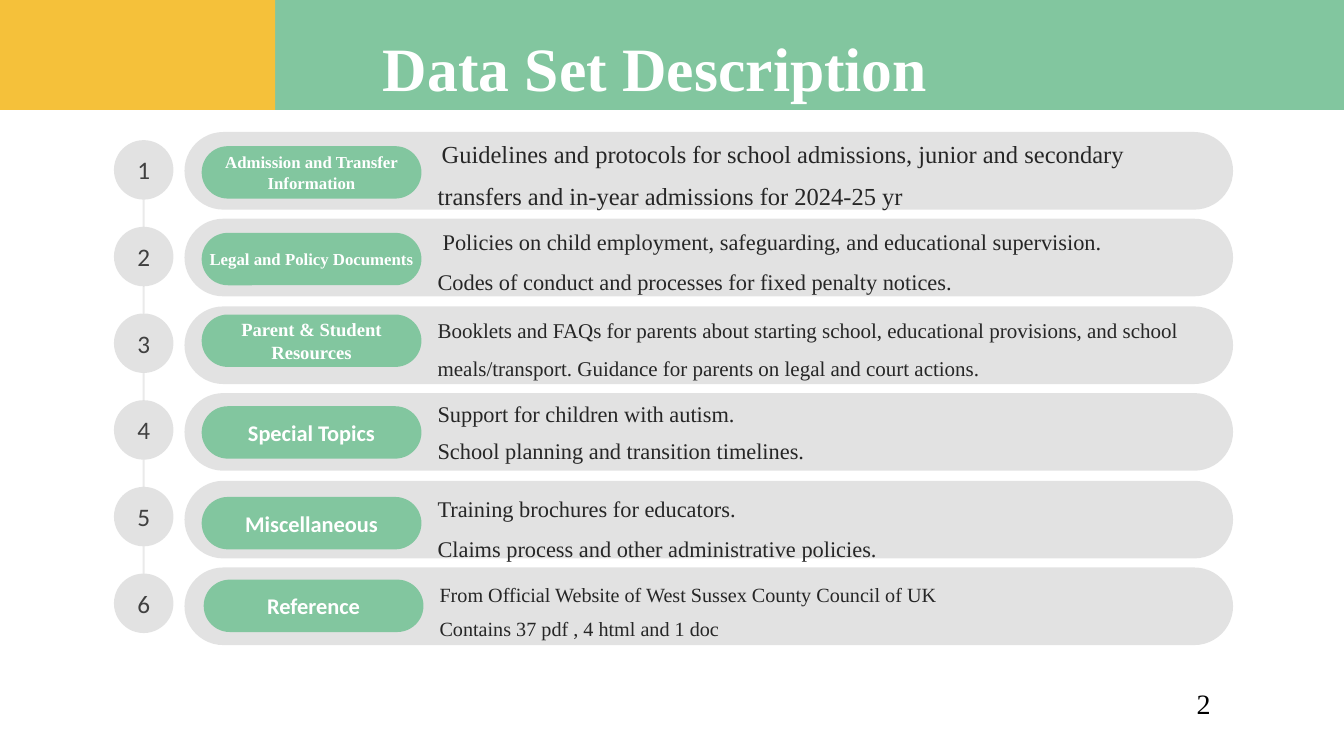
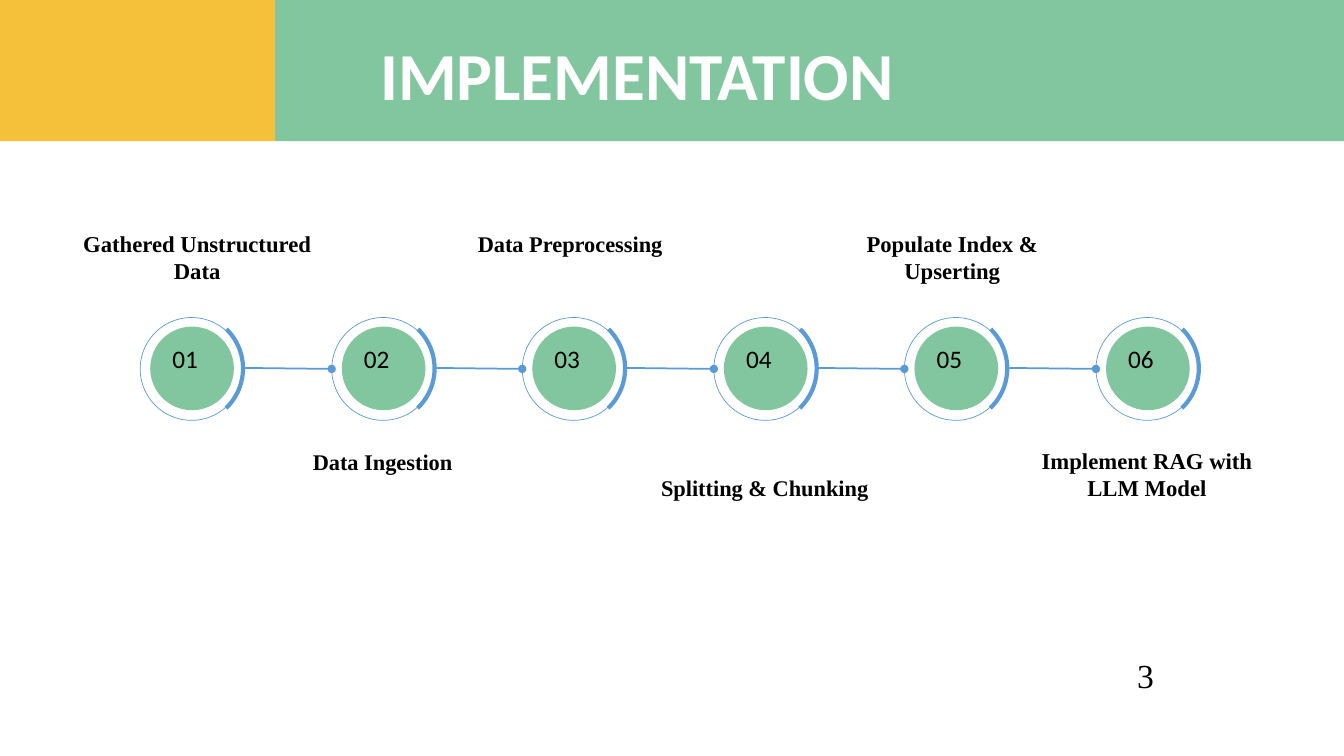
import pptx
import pptx.util
import pptx.dml.color
import pptx.enum.shapes
import pptx.enum.text
import pptx.oxml
import pptx.oxml.ns

RGBColor = pptx.dml.color.RGBColor
SHAPE = pptx.enum.shapes.MSO_SHAPE
ALIGN = pptx.enum.text.PP_ALIGN
ANCHOR = pptx.enum.text.MSO_ANCHOR

GREEN = RGBColor(0x82, 0xC6, 0x9F)
YELLOW = RGBColor(0xF5, 0xC1, 0x3A)
BLUE = RGBColor(0x5B, 0x9B, 0xD5)
DARK = RGBColor(0x40, 0x40, 0x40)
INK = RGBColor(0x26, 0x26, 0x26)
GRAY = RGBColor(0x99, 0x99, 0x99)
WHITE = RGBColor(0xFF, 0xFF, 0xFF)
BLACK = RGBColor(0x00, 0x00, 0x00)

SERIF, SANS = "Times New Roman", "Calibri"
PX = 9144  # EMU: 100 px to the inch
SLIDE_WIDTH, SLIDE_HEIGHT = 1333, 750
BAND_SPLIT = 273

DATA_SLIDE = {
    "band_height": 109,
    "title": ("Data Set Description", (370, 25, 560, 84), SERIF, 44),
    "number": ("2", (1177, 676, 59, 44), 20),
}
STEPS_SLIDE = {
    "band_height": 140,
    "title": ("IMPLEMENTATION", (352, 28, 560, 91), SANS, 48),
    "number": ("3", (1118, 645, 162, 50), 24),
}

# label, its font, size and top; description, its size, line spacing, indent and box
DATA_ROWS = [
    ("Admission and Transfer Information", SERIF, 12, 145,
     ["Guidelines and protocols for school admissions, junior and secondary "
      "transfers and in-year admissions for 2024-25 yr"],
     17.5, 1.4, 4, (434, 127, 757, 81)),
    ("Legal and Policy Documents", SERIF, 12, 231,
     ["Policies on child employment, safeguarding, and educational supervision.",
      "Codes of conduct and processes for fixed penalty notices."],
     16, 1.5, 5, (434, 213, 757, 79)),
    ("Parent & Student Resources", SERIF, 13.3, 312,
     ["Booklets and FAQs for parents about starting school, educational provisions, "
      "and school meals/transport. Guidance for parents on legal and court actions."],
     15, 1.5, 0, (434, 307, 742, 67)),
    ("Special Topics", SANS, 16, 403,
     ["Support for children with autism.", "School planning and transition timelines."],
     16, 1.4, 0, (434, 386, 757, 75)),
    ("Miscellaneous", SANS, 16, 493,
     ["Training brochures for educators.",
      "Claims process and other administrative policies."],
     16, 1.5, 0, (434, 481, 757, 74)),
    ("Reference", SANS, 16, 575,
     ["From Official Website of West Sussex County Council of UK",
      "Contains 37 pdf , 4 html and 1 doc"],
     14.4, 1.4, 0, (436, 569, 756, 65)),
]

# caption, size, top
STEPS = [
    ("Gathered Unstructured Data", 16.2, 228),
    ("Data Ingestion", 16, 422),
    ("Data Preprocessing", 16, 228),
    ("Splitting & Chunking", 16, 448),
    ("Populate Index & Upserting", 16.2, 228),
    ("Implement RAG with LLM Model", 16.2, 448),
]

NO_MARGINS = {f"margin_{side}": 0 for side in ("left", "top", "right", "bottom")}
MIDDLE = {"vertical_anchor": ANCHOR.MIDDLE}
CENTER = {"alignment": ALIGN.CENTER}


def emu(*lengths):
    return [pptx.util.Emu(round(length * PX)) for length in lengths]


def set_values(target, values):
    for name, value in values.items():
        setattr(target, name, value)


def set_alpha(color_parent, percent):
    """Make the solid colour inside an element partly transparent."""
    color = color_parent.find(".//" + pptx.oxml.ns.qn("a:srgbClr"))
    add_element(color, "a:alpha", val=str(percent * 1000))


def add_element(parent, tag, **attributes):
    element = parent.makeelement(pptx.oxml.ns.qn(tag), attributes)
    parent.append(element)


def write(shape, lines, font, size, color, bold=False, frame=None, paragraph=None, indent=0):
    text_frame = shape.text_frame
    set_values(text_frame, {"word_wrap": True, **(frame or {})})
    text_frame.text = "\n".join(lines)
    for item in text_frame.paragraphs:
        set_values(item, {"alignment": ALIGN.LEFT, **(paragraph or {})})
        set_values(item.font, {"name": font, "size": pptx.util.Pt(size), "bold": bold})
        item.font.color.rgb = color
    if indent:
        properties = text_frame.paragraphs[0]._p.get_or_add_pPr()
        properties.set("indent", str(indent * PX))


def add_text(slide, box, lines, *style, **formats):
    write(slide.shapes.add_textbox(*emu(*box)), lines, *style, **formats)


def add_shape(slide, kind, box, fill=None, alpha=None, line=None, width=1, adjustments=()):
    shape = slide.shapes.add_shape(kind, *emu(*box))
    shape.shadow.inherit = False
    if fill is None:
        shape.fill.background()
    else:
        shape.fill.solid()
        shape.fill.fore_color.rgb = fill
    if alpha is not None:
        set_alpha(shape._element.spPr, alpha)
    if line is None:
        shape.line.fill.background()
    else:
        shape.line.color.rgb = line
        shape.line.width = pptx.util.Pt(width)
    for index, value in enumerate(adjustments):
        shape.adjustments[index] = value
    return shape


def add_line(slide, ends, color, width, alpha=None, tail=None):
    connector = slide.shapes.add_connector(
        pptx.enum.shapes.MSO_CONNECTOR.STRAIGHT, *emu(*ends))
    connector.line.color.rgb = color
    connector.line.width = pptx.util.Pt(width)
    line_element = connector.line._get_or_add_ln()
    if alpha is not None:
        set_alpha(line_element, alpha)
    if tail:
        add_element(line_element, "a:tailEnd", type=tail)
    add_element(connector._element.spPr, "a:effectLst")


def add_base_slide(presentation, content):
    """Add a slide with the two-colour band, title and page number."""
    slide = presentation.slides.add_slide(presentation.slide_layouts[6])
    height = content["band_height"]
    add_shape(slide, SHAPE.RECTANGLE, (BAND_SPLIT, 0, SLIDE_WIDTH - BAND_SPLIT, height), GREEN)
    add_shape(slide, SHAPE.RECTANGLE, (0, 0, BAND_SPLIT, height), YELLOW)
    title, box, font, size = content["title"]
    add_text(slide, box, [title], font, size, WHITE, bold=True, paragraph=CENTER)
    number, box, size = content["number"]
    add_text(slide, box, [number], SERIF, size, BLACK)
    return slide


def build_data_slide(presentation):
    slide = add_base_slide(presentation, DATA_SLIDE)
    circle_left, circle_size, circle_step = 113, 59, 86
    axis = circle_left + circle_size / 2
    for index, row in enumerate(DATA_ROWS):
        label, label_font, label_size, label_top, lines, size, spacing, indent, box = row
        top = 139 + index * circle_step
        if index:
            add_line(slide, (axis, top - circle_step + circle_size, axis, top),
                     GRAY, 1.5, alpha=20)
        circle = add_shape(slide, SHAPE.OVAL, (circle_left, top, circle_size, circle_size),
                           DARK, alpha=15)
        write(circle, [str(index + 1)], SANS, 18, DARK,
              frame={**MIDDLE, "word_wrap": False}, paragraph=CENTER)
        add_shape(slide, SHAPE.ROUNDED_RECTANGLE, (183, round(131 + index * 86.4), 1040, 77),
                  DARK, alpha=15, adjustments=[0.5])
        pill = add_shape(slide, SHAPE.ROUNDED_RECTANGLE, (box[0] - 234, label_top, 218, 52),
                         GREEN, adjustments=[0.5])
        write(pill, [label], label_font, label_size, WHITE, bold=True,
              frame={**MIDDLE, **NO_MARGINS}, paragraph=CENTER)
        add_text(slide, box, lines, SERIF, size, INK, frame={**MIDDLE, **NO_MARGINS},
                 paragraph={"line_spacing": spacing}, indent=indent)


def build_steps_slide(presentation):
    slide = add_base_slide(presentation, STEPS_SLIDE)
    step, ring_top, ring_size = 189.6, 315, 102
    for index, (caption, size, caption_top) in enumerate(STEPS):
        left = round(139 + index * step)
        add_shape(slide, SHAPE.OVAL, (left, ring_top, ring_size, ring_size),
                  line=BLUE, width=0.5)
        disc = add_shape(slide, SHAPE.OVAL, (left + 10, ring_top + 9, 83, 83), GREEN)
        write(disc, [f"{index + 1:02d}"], SANS, 18, BLACK,
              frame={"vertical_anchor": ANCHOR.TOP})
        arc = add_shape(slide, SHAPE.ARC, (left - 7, ring_top - 4, 109, 109),
                        line=BLUE, width=3, adjustments=[26.572, 81.761])
        arc.rotation = 270
        if index:
            add_line(slide, (left - 86, ring_top + 50, left, ring_top + 51),
                     BLUE, 1.25, tail="oval")
        anchor = ANCHOR.BOTTOM if index % 2 else ANCHOR.TOP
        caption_left = round(77 + index * step) - (6 if index % 2 else 0)
        if index in (2, 4):
            caption_left -= 9
        add_text(slide, (caption_left, caption_top, 237, 49), [caption], SERIF, size, BLACK,
                 bold=True, frame={**NO_MARGINS, "vertical_anchor": anchor}, paragraph=CENTER)


def main():
    presentation = pptx.Presentation()
    presentation.slide_width, presentation.slide_height = emu(SLIDE_WIDTH, SLIDE_HEIGHT)
    build_data_slide(presentation)
    build_steps_slide(presentation)
    presentation.save("out.pptx")


if __name__ == "__main__":
    main()
